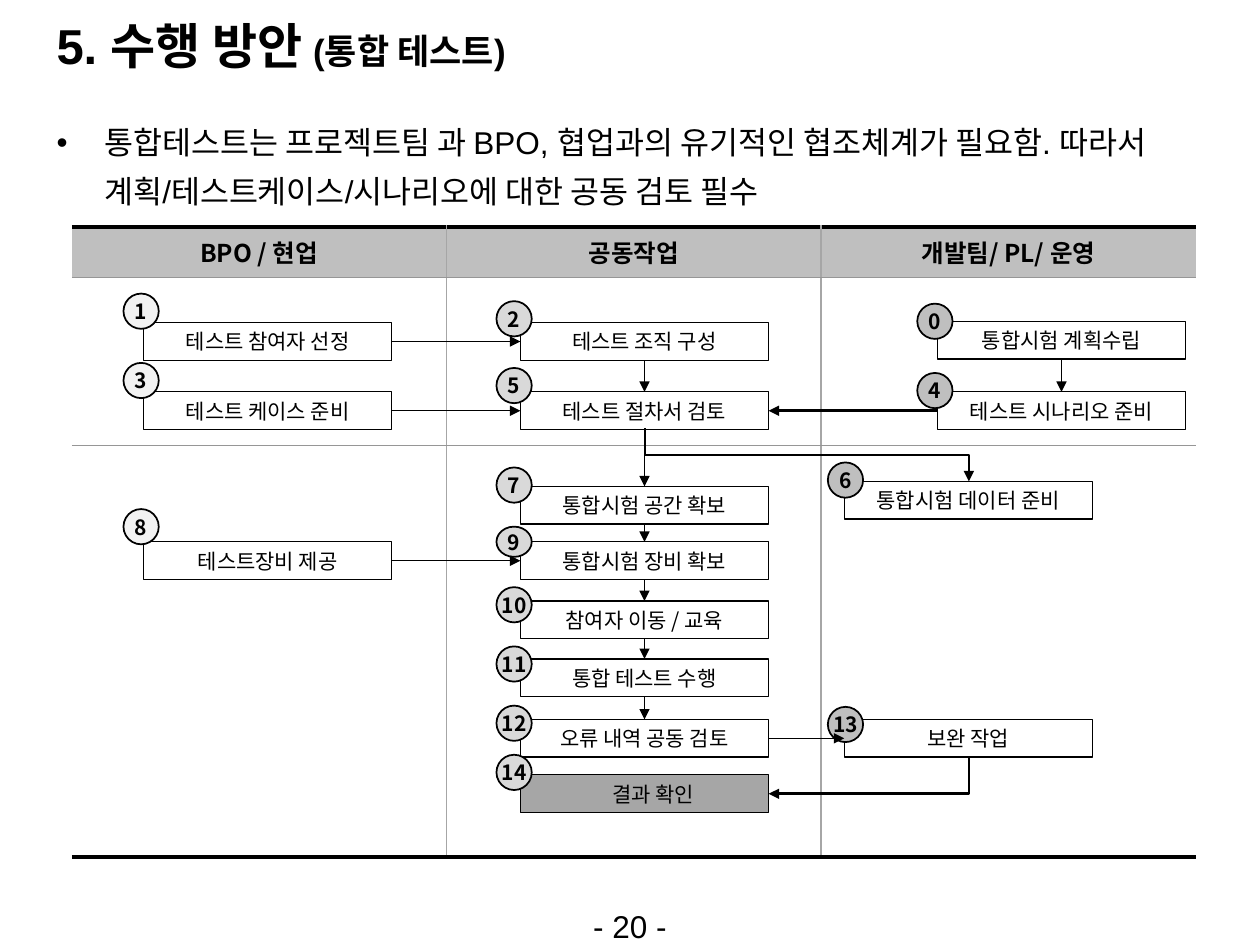
from lxml import etree
from pptx import Presentation
from pptx.dml.color import RGBColor
from pptx.enum.shapes import MSO_CONNECTOR, MSO_SHAPE
from pptx.enum.text import MSO_ANCHOR, PP_ALIGN
from pptx.oxml.ns import qn
from pptx.util import Inches, Pt

STRAIGHT, ELBOW = MSO_CONNECTOR.STRAIGHT, MSO_CONNECTOR.ELBOW
RECT, OVAL = MSO_SHAPE.RECTANGLE, MSO_SHAPE.OVAL
CENTER, LEFT = PP_ALIGN.CENTER, PP_ALIGN.LEFT
TOP, MIDDLE = MSO_ANCHOR.TOP, MSO_ANCHOR.MIDDLE
BLACK = RGBColor(0x00, 0x00, 0x00)
WHITE = RGBColor(0xFF, 0xFF, 0xFF)
PALE = RGBColor(0xF2, 0xF2, 0xF2)
LIGHT = RGBColor(0xD9, 0xD9, 0xD9)
SILVER = RGBColor(0xBF, 0xBF, 0xBF)
GRAY = RGBColor(0xA6, 0xA6, 0xA6)
RULE = RGBColor(0x96, 0x96, 0x96)
ARIAL, NOTO = "Arial", "Noto Sans CJK KR"
BOX_W, BOX_H, BADGE = 1.97, 0.3, 0.28
SITE_TOP, SITE_LEFT, SITE_BOTTOM, SITE_RIGHT = range(4)

HEADERS = ["BPO / 현업", "공동작업", "개발팀/ PL/ 운영"]
LANES = {
    "client": (1.14, 0.98, PALE),
    "joint": (4.13, 3.94, LIGHT),
    "plan": (7.44, 7.28, SILVER),
    "fix": (6.7, 6.57, SILVER),
}
STEPS = [
    (0, "통합시험 계획수립", "plan", 2.55, 2.41),
    (1, "테스트 참여자 선정", "client", 2.56, 2.33),
    (2, "테스트 조직 구성", "joint", 2.56, 2.39),
    (3, "테스트 케이스 준비", "client", 3.11, 2.88),
    (4, "테스트 시나리오 준비", "plan", 3.11, 2.96),
    (5, "테스트 절차서 검토", "joint", 3.11, 2.92),
    (6, "통합시험 데이터 준비", "fix", 3.82, 3.67),
    (7, "통합시험 공간 확보", "joint", 3.86, 3.71),
    (8, "테스트장비 제공", "client", 4.3, 4.04),
    (9, "통합시험 장비 확보", "joint", 4.3, 4.18),
    (10, "참여자 이동 / 교육", "joint", 4.77, 4.66),
    (11, "통합 테스트 수행", "joint", 5.23, 5.13),
    (12, "오류 내역 공동 검토", "joint", 5.71, 5.6),
    (13, "보완 작업", "fix", 5.71, 5.61),
    (14, "결과 확인", "joint", 6.15, 5.99),
]
RIGHTWARD = [(1, 2), (3, 5), (8, 9), (12, 13)]
DOWNWARD = [(2, 5), (5, 7), (7, 9), (9, 10), (10, 11), (11, 12), (0, 4)]


def add_run(p, text, size, font=NOTO, bold=False):
    """Add a black run with Latin and East Asian fonts."""
    r = p.add_run()
    r.text = text
    for key, value in dict(size=Pt(size), name=font, bold=bold).items():
        setattr(r.font, key, value)
    r.font.color.rgb = BLACK
    ea = etree.SubElement(r.font._element, qn("a:ea"))
    ea.set("typeface", NOTO)


def add_text(s, box, runs, align=LEFT, anchor=TOP):
    """Add a wrapped text box and return its paragraph."""
    tf = s.shapes.add_textbox(*map(Inches, box)).text_frame
    tf.word_wrap, tf.vertical_anchor = True, anchor
    p = tf.paragraphs[0]
    p.alignment = align
    for text, size, bold in runs:
        add_run(p, text, size, ARIAL, bold)
    return p


def add_body(s, box):
    """Add the bulleted introduction."""
    text = ("통합테스트는 프로젝트팀 과 BPO, 협업과의 유기적인 협조체계가 필요함. "
            "따라서 계획/테스트케이스/시나리오에 대한 공동 검토 필수")
    p = add_text(s, box, [(text, 18, False)])
    p.line_spacing = 1.3
    pPr = p._p.get_or_add_pPr()
    pPr.set("marL", str(Inches(0.38)))
    pPr.set("indent", str(-Inches(0.38)))
    etree.SubElement(pPr, qn("a:buFont")).set("typeface", ARIAL)
    etree.SubElement(pPr, qn("a:buChar")).set("char", "•")


def set_border(cell, side, width, color):
    """Draw one side of a cell, or hide it when the width is zero."""
    ln = etree.SubElement(cell._tc.get_or_add_tcPr(), qn(f"a:ln{side}"))
    ln.set("w", str(Pt(width)))
    if not width:
        etree.SubElement(ln, qn("a:noFill"))
        return
    fill = etree.SubElement(ln, qn("a:solidFill"))
    etree.SubElement(fill, qn("a:srgbClr")).set("val", str(color))


def add_lanes(s, box):
    """Add the three-lane table behind the flow."""
    table = s.shapes.add_table(3, 3, *map(Inches, box)).table
    table.first_row = table.horz_banding = False
    for col in table.columns:
        col.width = Inches(box[2] / 3)
    for row, height in zip(table.rows, (0.38, 1.33, 3.27)):
        row.height = Inches(height)
    thick, thin = (2.25, BLACK), (0.75, RULE)
    inner, none = (1, GRAY), (0, GRAY)
    for i in range(3):
        for j in range(3):
            cell = table.cell(i, j)
            set_border(cell, "L", *(inner if j else none))
            set_border(cell, "R", *(inner if j < 2 else none))
            set_border(cell, "T", *(thin if i else thick))
            set_border(cell, "B", *(thin if i < 2 else thick))
            cell.fill.background()
    for j, text in enumerate(HEADERS):
        cell = table.cell(0, j)
        cell.fill.solid()
        cell.fill.fore_color.rgb = SILVER
        margins = dict(margin_left=0.08, margin_right=0.08, margin_top=0.06, margin_bottom=0.06)
        for key, value in margins.items():
            setattr(cell, key, Inches(value))
        cell.vertical_anchor = MIDDLE
        p = cell.text_frame.paragraphs[0]
        p.alignment = CENTER
        add_run(p, text, 14, bold=True)


def add_node(s, kind, box, text, fill, line, bold=False):
    """Add an outlined shape with centred text."""
    sp = s.shapes.add_shape(kind, *map(Inches, box))
    sp.shadow.inherit = False
    sp.fill.solid()
    sp.fill.fore_color.rgb = fill
    sp.line.color.rgb, sp.line.width = BLACK, Pt(line)
    tf = sp.text_frame
    fmt = dict(word_wrap=False, vertical_anchor=MIDDLE, margin_left=0,
               margin_right=0, margin_top=0, margin_bottom=0)
    for key, value in fmt.items():
        setattr(tf, key, value)
    p = tf.paragraphs[0]
    p.alignment = CENTER
    add_run(p, text, 12, bold=bold)
    return sp


def style_arrow(con, width):
    """Give a connector a black line and an arrowhead."""
    con.line.color.rgb, con.line.width = BLACK, Pt(width)
    tail = etree.SubElement(con.line._get_or_add_ln(), qn("a:tailEnd"))
    tail.set("type", "triangle")
    etree.SubElement(con._element.spPr, qn("a:effectLst"))


def add_link(s, start, start_site, end, end_site, width=0.75):
    """Connect two boxes with a straight arrow."""
    con = s.shapes.add_connector(STRAIGHT, 0, 0, 0, 0)
    con.begin_connect(start, start_site)
    con.end_connect(end, end_site)
    style_arrow(con, width)


def add_elbow(s, start, end, preset, rotation, flip=False):
    """Add a turned bent arrow that leaves its start vertically."""
    (x1, y1), (x2, y2) = start, end
    w, h = abs(y2 - y1), abs(x2 - x1)
    left, top = (x1 + x2 - w) / 2, (y1 + y2 - h) / 2
    con = s.shapes.add_connector(ELBOW, *map(Inches, (left, top, left + w, top + h)))
    spPr = con._element.spPr
    spPr.find(qn("a:prstGeom")).set("prst", preset)
    xfrm = spPr.find(qn("a:xfrm"))
    xfrm.set("rot", str(rotation * 60000))
    if flip:
        xfrm.set("flipH", "1")
    style_arrow(con, 1.5)


def add_flow(s):
    """Add the numbered steps and the arrows between them."""
    boxes = {}
    for no, text, lane, y, _ in STEPS:
        fill = GRAY if no == 14 else WHITE
        boxes[no] = add_node(s, RECT, (LANES[lane][0], y, BOX_W, BOX_H), text, fill, 0.75)
    boxes[14].text_frame.margin_left = Inches(0.14)
    for no, _, lane, _, y in STEPS:
        _, x, fill = LANES[lane]
        height = 0.24 if no == 9 else BADGE
        add_node(s, OVAL, (x, y, BADGE, height), str(no), fill, 1, True)
    for a, b in RIGHTWARD:
        add_link(s, boxes[a], SITE_RIGHT, boxes[b], SITE_LEFT)
    for a, b in DOWNWARD:
        add_link(s, boxes[a], SITE_BOTTOM, boxes[b], SITE_TOP)
    add_link(s, boxes[4], SITE_LEFT, boxes[5], SITE_RIGHT, 1.5)
    add_elbow(s, (5.12, 3.4), (7.69, 3.82), "bentConnector3", 270, True)
    add_elbow(s, (7.69, 6.01), (6.1, 6.3), "bentConnector2", 90)


def main():
    """Build and save the slide."""
    prs = Presentation()
    prs.slide_width, prs.slide_height = Inches(10), Inches(7.5)
    s = prs.slides.add_slide(prs.slide_layouts[6])
    add_lanes(s, (0.57, 1.8, 8.92, 4.98))
    title = [("5. 수행 방안 ", 28, True), ("(통합 테스트)", 20, True)]
    add_text(s, (0.35, 0.05, 9.29, 0.62), title, anchor=MIDDLE)
    add_body(s, (0.35, 0.84, 9.29, 5.86))
    add_text(s, (4.33, 7.15, 1.34, 0.35), [("- 20 -", 18, False)], CENTER)
    add_flow(s)
    prs.save("out.pptx")


if __name__ == "__main__":
    main()
